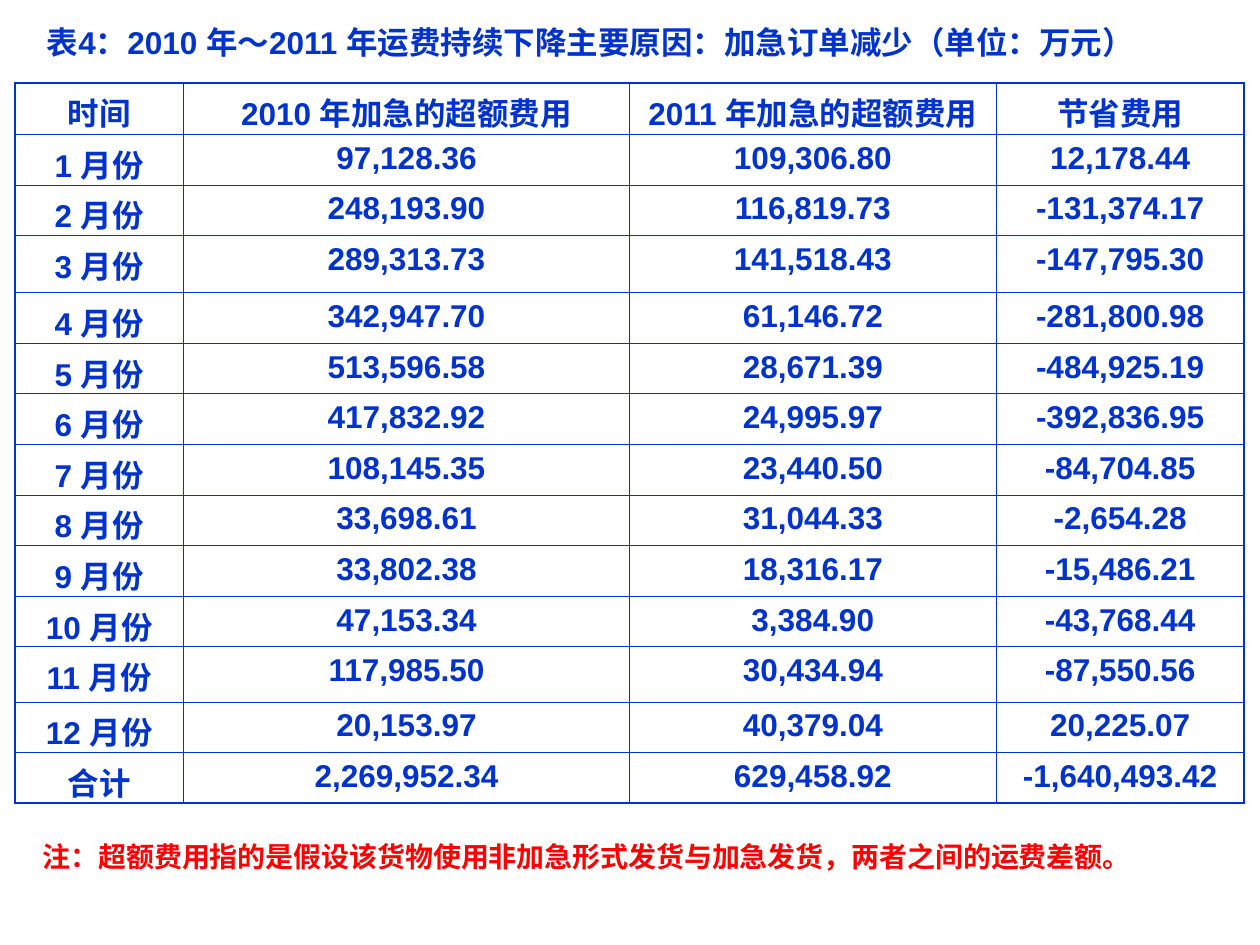
from lxml.etree import SubElement
from pptx import Presentation
from pptx.dml.color import RGBColor
from pptx.enum.text import MSO_ANCHOR, MSO_AUTO_SIZE, PP_ALIGN
from pptx.oxml.ns import qn
from pptx.util import Cm, Pt

BLUE = "0033CC"
RED = "FF0000"
THIN, THICK = 0.45, 1.08
COLUMN_WIDTHS = [3.4, 8.99, 7.39, 5]
ROW_HEIGHT = 1.02
SPECIAL_HEIGHTS = {0: 1.04, 3: 1.15, 11: 1.11}
HEADER = ["时间", "2010 年加急的超额费用", "2011 年加急的超额费用", "节省费用"]
MONTHS = [
    ["97,128.36", "109,306.80", "12,178.44"],
    ["248,193.90", "116,819.73", "-131,374.17"],
    ["289,313.73", "141,518.43", "-147,795.30"],
    ["342,947.70", "61,146.72", "-281,800.98"],
    ["513,596.58", "28,671.39", "-484,925.19"],
    ["417,832.92", "24,995.97", "-392,836.95"],
    ["108,145.35", "23,440.50", "-84,704.85"],
    ["33,698.61", "31,044.33", "-2,654.28"],
    ["33,802.38", "18,316.17", "-15,486.21"],
    ["47,153.34", "3,384.90", "-43,768.44"],
    ["117,985.50", "30,434.94", "-87,550.56"],
    ["20,153.97", "40,379.04", "20,225.07"],
]
TOTAL = ["合计", "2,269,952.34", "629,458.92", "-1,640,493.42"]


def color(value):
    return RGBColor.from_string(value)


def apply(target, values):
    for name, value in values.items():
        setattr(target, name, value)


def write(tf, text, size, text_color, align):
    p = tf.paragraphs[0]
    p.alignment = align
    r = p.add_run()
    r.text = text
    apply(r.font, {"name": "Arial", "size": Pt(size), "bold": True})
    r.font.color.rgb = color(text_color)


def place_text(sp, box, text, size, text_color, wrap):
    apply(sp, dict(zip(("left", "top", "width", "height"), map(Cm, box))))
    tf = sp.text_frame
    apply(tf, {"word_wrap": wrap, "auto_size": MSO_AUTO_SIZE.SHAPE_TO_FIT_TEXT,
               "vertical_anchor": MSO_ANCHOR.TOP})
    write(tf, text, size, text_color, PP_ALIGN.LEFT)


def add_borders(cell, widths):
    tc_pr = cell._tc.get_or_add_tcPr()
    for i, (side, width) in enumerate(widths.items()):
        ln = tc_pr.makeelement(qn(f"a:ln{side}"), {"w": str(Pt(width))})
        tc_pr.insert(i, ln)
        fill = SubElement(ln, qn("a:solidFill"))
        SubElement(fill, qn("a:srgbClr"), val=BLUE)


def add_cost_table(s, rows):
    heights = [SPECIAL_HEIGHTS.get(i, ROW_HEIGHT) for i in range(len(rows))]
    frame = s.shapes.add_table(len(rows), len(HEADER), Cm(0.3), Cm(1.67),
                               Cm(sum(COLUMN_WIDTHS)), Cm(sum(heights)))
    table = frame.table
    apply(table, {"first_row": False, "horz_banding": False})
    for column, width in zip(table.columns, COLUMN_WIDTHS):
        column.width = Cm(width)
    for row, height in zip(table.rows, heights):
        row.height = Cm(height)
    last_row, last_col = len(rows) - 1, len(HEADER) - 1
    for i, values in enumerate(rows):
        for j, text in enumerate(values):
            cell = table.cell(i, j)
            cell.fill.background()
            write(cell.text_frame, text, 18, BLUE, PP_ALIGN.CENTER)
            edges = {"L": j == 0, "R": j == last_col,
                     "T": i == 0, "B": i == last_row}
            add_borders(cell, {side: THICK if outer else THIN
                               for side, outer in edges.items()})


def main():
    prs = Presentation()
    apply(prs, {"slide_width": Cm(25.4), "slide_height": Cm(19.05)})
    s = prs.slides.add_slide(prs.slide_layouts[5])
    months = [[f"{n} 月份", *values] for n, values in enumerate(MONTHS, 1)]
    add_cost_table(s, [HEADER, *months, TOTAL])
    place_text(s.shapes.title, (0.69, 0.33, 24.2, 1.02),
               "表4：2010 年～2011 年运费持续下降主要原因：加急订单减少（单位：万元）",
               18, BLUE, True)
    note = s.shapes.add_textbox(0, 0, 0, 0)
    place_text(note, (0.61, 16.79, 22.45, 0.94),
               "注：超额费用指的是假设该货物使用非加急形式发货与加急发货，两者之间的运费差额。",
               16, RED, False)
    prs.save("out.pptx")


if __name__ == "__main__":
    main()
